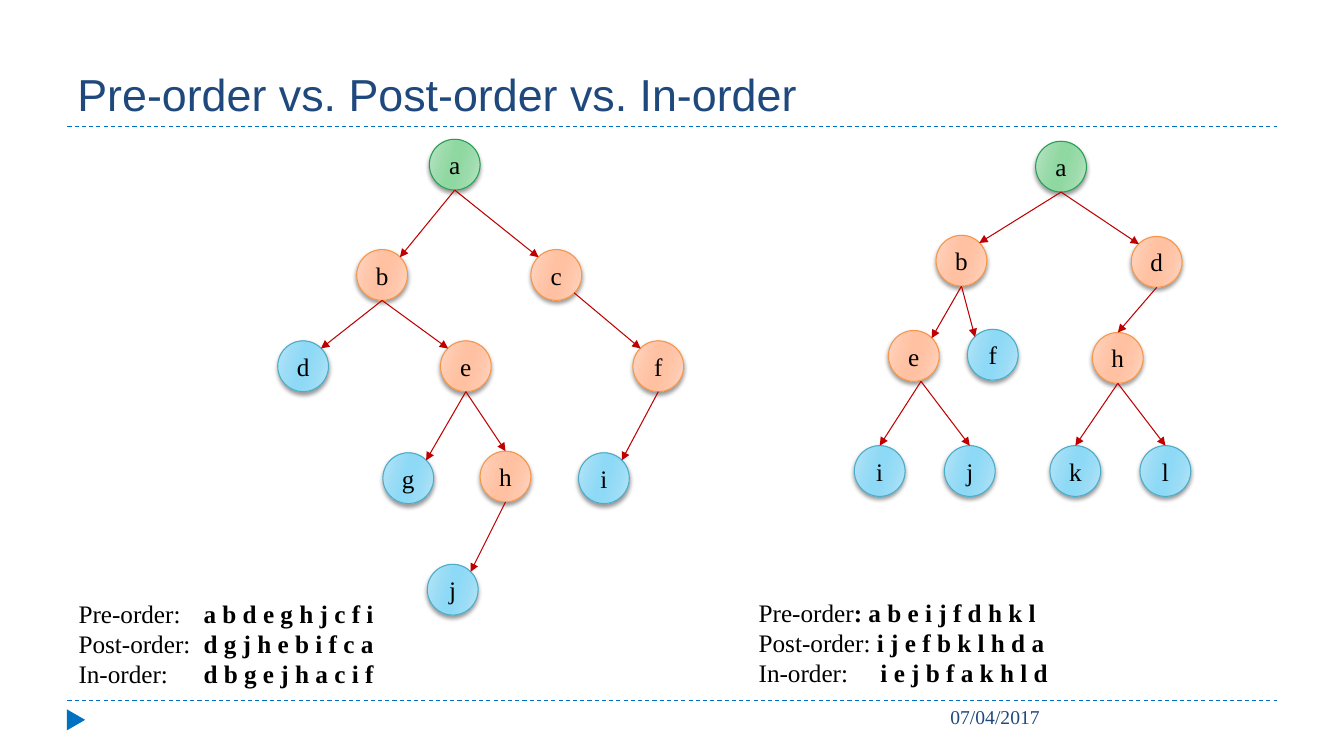
from copy import deepcopy

from lxml import etree
from pptx import Presentation
from pptx.dml.color import RGBColor
from pptx.enum.dml import MSO_LINE
from pptx.enum.shapes import MSO_CONNECTOR, MSO_SHAPE
from pptx.enum.text import MSO_ANCHOR, PP_ALIGN
from pptx.oxml.ns import qn
from pptx.util import Cm, Pt

STRAIGHT = MSO_CONNECTOR.STRAIGHT
OVAL, TRIANGLE = MSO_SHAPE.OVAL, MSO_SHAPE.ISOSCELES_TRIANGLE
DASH = MSO_LINE.DASH
TOP, MIDDLE, BOTTOM = MSO_ANCHOR.TOP, MSO_ANCHOR.MIDDLE, MSO_ANCHOR.BOTTOM
CENTER = PP_ALIGN.CENTER

COLORS = {"rule": "0070C0", "title": "1F497D", "text": "000000", "edge": "C00000"}
# Outer, middle and inner gradient colour, then outline
NODE_COLORS = {
    "root": ("BBE4C5", "9BDBAB", "8FD8A1", "279D57"),
    "inner": ("FFD7C5", "FFC6AA", "FFC1A1", "F79646"),
    "leaf": ("B9E5F7", "99DCF6", "8DD9F6", "4BACC6"),
}
STOPS = [(0, 0), (0.3, 1), (0.45, 2), (0.55, 2), (0.73, 1), (1, 0)]
SERIF, SANS = "Times New Roman", "Arial"
SIZE = 1.28

# Points on a node, as fractions of its size
SITES = {"top": (0.5, 0), "top left": (0.15, 0.15), "top right": (0.85, 0.15),
         "bottom": (0.5, 1), "bottom right": (0.85, 0.85)}

# Letter: left, top, parent, site where the edge arrives
LEFT_TREE = {
    "a": (10.82, 3.51, None, None),
    "b": (8.99, 6.29, "a", "top right"),
    "c": (13.38, 6.29, "a", "top left"),
    "d": (7.0, 8.59, "b", "top right"),
    "e": (11.1, 8.59, "b", "top left"),
    "f": (15.95, 8.59, "c", "top left"),
    "g": (9.65, 11.41, "e", "top right"),
    "h": (12.1, 11.37, "e", "top"),
    "i": (14.58, 11.41, "f", "top right"),
    "j": (10.77, 14.22, "h", "top right"),
}
RIGHT_TREE = {
    "a": (26.1, 3.56, None, None),
    "b": (23.59, 5.93, "a", "top right"),
    "d": (28.51, 5.96, "a", "top left"),
    "e": (22.39, 8.33, "b", "top right"),
    "f": (24.38, 8.3, "b", "top left"),
    "h": (27.53, 8.38, "d", "top"),
    "i": (21.53, 11.23, "e", "top"),
    "j": (23.8, 11.23, "e", "top"),
    "k": (26.46, 11.23, "h", "top"),
    "l": (28.73, 11.23, "h", "top"),
}
# Edges that leave their parent off its bottom point: site and shift in x
DEPARTURES = {("left", "c"): ("bottom right", 0), ("right", "e"): ("bottom", 0.18)}

# Left, top, width, height, wrap, tab stop, rows of plain and bold text
ORDERS = [
    (1.73, 14.94, 9.27, 2.57, True, 3.15, [
        ("Pre-order:\t", "a b d e g h j c f i"),
        ("Post-order:\t", "d g j h e b i f c a"),
        ("In-order:\t", "d b g e j h a c i f")]),
    (18.87, 14.92, 8.2, 2.57, False, 3.07, [
        ("Pre-order", ": a b e i j f d h k l"),
        ("Post-order: ", "i j e f b k l h d a"),
        ("In-order:\t", "i e j b f a k h l d")]),
]


def add_line(start, end, color):
    sp = slide.shapes.add_connector(STRAIGHT, *(Cm(v) for v in start + end))
    sp.line.color.rgb = RGBColor.from_string(color)
    sp.line.width = Pt(0.75)
    etree.SubElement(sp._element.spPr, qn("a:effectLst"))
    return sp


def add_run(p, text, size=18, font=SERIF, color="text", bold=False):
    r = p.add_run()
    r.text = text
    for name, value in {"size": Pt(size), "name": font, "bold": bold}.items():
        setattr(r.font, name, value)
    r.font.color.rgb = RGBColor.from_string(COLORS[color])


prs = Presentation()
prs.slide_width, prs.slide_height = Cm(33.87), Cm(19.05)
slide = prs.slides.add_slide(prs.slide_layouts[6])

# Rules, footer marker, title and date
for y in (17.65, 3.18):
    add_line((1.7, y), (32.18, y), COLORS["rule"]).line.dash_style = DASH

sp = slide.shapes.add_shape(TRIANGLE, Cm(1.65), Cm(17.91), Cm(0.53), Cm(0.46))
sp.rotation = 90
sp.shadow.inherit = False
sp.fill.solid()
sp.fill.fore_color.rgb = RGBColor.from_string(COLORS["rule"])
sp.line.fill.background()

for box, anchor, text, size, font in [
    ((1.7, 0.43, 30.48, 2.74), BOTTOM, "Pre-order vs. Post-order vs. In-order", 32, SANS),
    ((23.7, 17.65, 8.48, 1.02), TOP, "07/04/2017", 14, SERIF),
]:
    tf = slide.shapes.add_textbox(*(Cm(v) for v in box)).text_frame
    tf.word_wrap = True
    tf.vertical_anchor = anchor
    add_run(tf.paragraphs[0], text, size, font, "title")

# Trees
for side, tree in (("left", LEFT_TREE), ("right", RIGHT_TREE)):
    parents = {parent for _, _, parent, _ in tree.values()}
    for letter, (x, y, parent, _) in tree.items():
        kind = "root" if parent is None else "inner" if letter in parents else "leaf"
        sp = slide.shapes.add_shape(OVAL, Cm(x), Cm(y), Cm(SIZE), Cm(SIZE))
        sp.line.color.rgb = RGBColor.from_string(NODE_COLORS[kind][3])
        sp.line.width = Pt(0.75)

        sp.fill.gradient()
        sp.fill.gradient_angle = 344
        stop_list = sp._element.spPr.find(".//" + qn("a:gsLst"))
        for _ in range(len(STOPS) - len(stop_list)):
            stop_list.append(deepcopy(stop_list[0]))
        for stop, (position, shade) in zip(sp.fill.gradient_stops, STOPS):
            stop.position = position
            stop.color.rgb = RGBColor.from_string(NODE_COLORS[kind][shade])

        sp.shadow.inherit = False
        effects = sp._element.spPr.find(qn("a:effectLst"))
        shadow = etree.SubElement(effects, qn("a:outerShdw"), blurRad=str(Pt(3)),
                                  dist=str(Pt(2)), dir="5400000", rotWithShape="0")
        black = etree.SubElement(shadow, qn("a:srgbClr"), val=COLORS["text"])
        etree.SubElement(black, qn("a:alpha"), val="40000")

        tf = sp.text_frame
        tf.margin_left = tf.margin_right = 0
        tf.vertical_anchor = MIDDLE
        tf.paragraphs[0].alignment = CENTER
        add_run(tf.paragraphs[0], letter)

    for x, y, parent, arrival in tree.values():
        if parent is None:
            continue
        px, py = tree[parent][:2]
        departure, shift = DEPARTURES.get((side, parent), ("bottom", 0))
        (sx, sy), (ex, ey) = SITES[departure], SITES[arrival]
        sp = add_line((px + sx * SIZE + shift, py + sy * SIZE),
                      (x + ex * SIZE, y + ey * SIZE), COLORS["edge"])
        etree.SubElement(sp.line._get_or_add_ln(), qn("a:tailEnd"), type="triangle")

# Traversal orders
for *box, wrap, tab, rows in ORDERS:
    tf = slide.shapes.add_textbox(*(Cm(v) for v in box)).text_frame
    tf.word_wrap = wrap
    for i, (label, order) in enumerate(rows):
        p = tf.add_paragraph() if i else tf.paragraphs[0]
        tabs = etree.SubElement(p._p.get_or_add_pPr(), qn("a:tabLst"))
        etree.SubElement(tabs, qn("a:tab"), pos=str(Cm(tab)), algn="l")
        add_run(p, label)
        add_run(p, order, bold=True)

prs.save("out.pptx")
